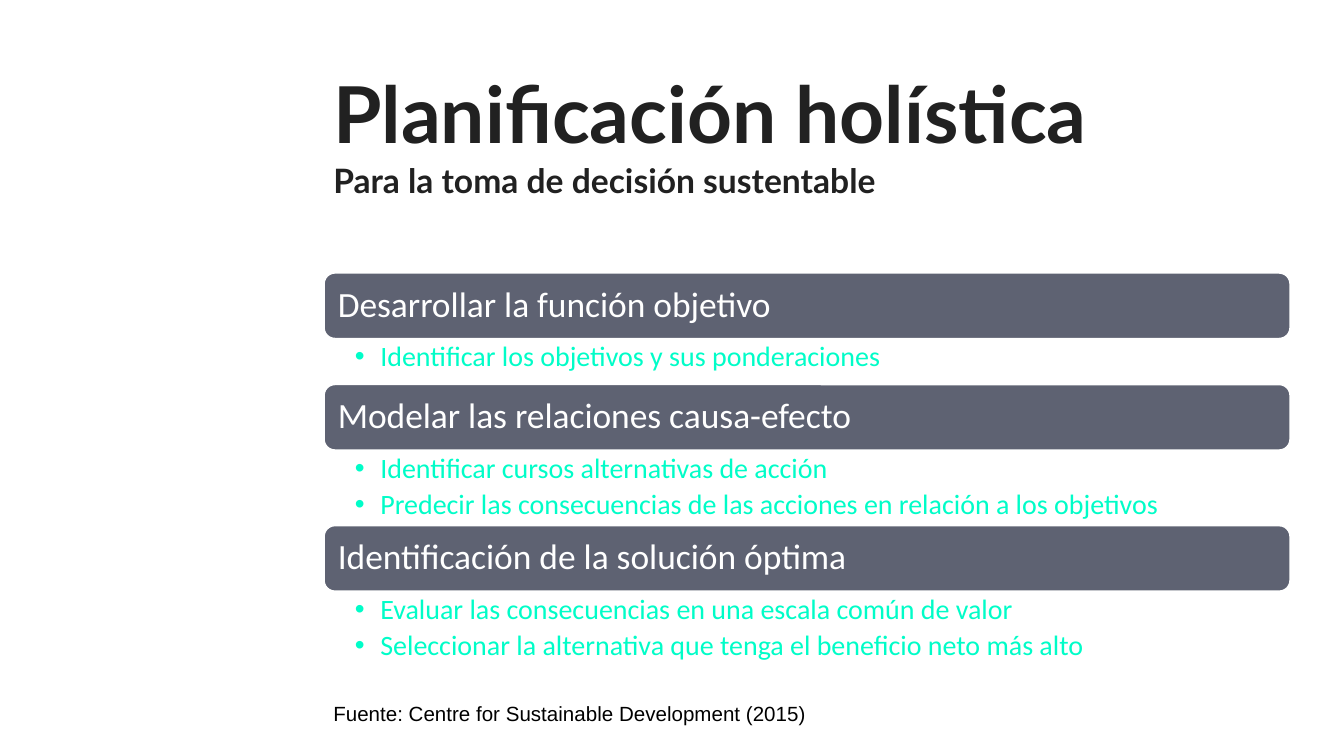
from dataclasses import dataclass

from lxml.etree import SubElement
from pptx import Presentation
from pptx.dml.color import RGBColor as Color
from pptx.enum.shapes import MSO_SHAPE as Shape
from pptx.enum.text import MSO_ANCHOR as Anchor, MSO_AUTO_SIZE as AutoSize, PP_ALIGN as Align
from pptx.oxml.ns import qn
from pptx.util import Inches, Pt


@dataclass(frozen=True)
class Theme:
    ink: str = "212121"
    bar: str = "5E6272"
    light: str = "FFFFFF"
    accent: str = "00FDC8"
    source: str = "000000"
    title_size: int = 42
    subtitle_size: int = 18
    heading_size: int = 19
    list_size: int = 15
    source_size: int = 11
    title_font: str = "Lato"
    body_font: str = "Calibri"
    source_font: str = "Arial"


# Grid of square cells, 0.1 inch each
CELL = Inches(0.1)
COLUMNS, ROWS = 100, 56.25
LEFT, WIDTH = 24.1, 71.9
BAR_ROWS = 4.9
LIST_PADDING, ITEM_ROWS = 1.2, 2.2

TITLE = "Planificación holística"
SUBTITLE = "Para la toma de decisión sustentable"
SOURCE = "Fuente: Centre for Sustainable Development (2015)"
STEPS = {
    "Desarrollar la función objetivo": [
        "Identificar los objetivos y sus ponderaciones",
    ],
    "Modelar las relaciones causa-efecto": [
        "Identificar cursos alternativas de acción",
        "Predecir las consecuencias de las acciones en relación a los objetivos",
    ],
    "Identificación de la solución óptima": [
        "Evaluar las consecuencias en una escala común de valor",
        "Seleccionar la alternativa que tenga el beneficio neto más alto",
    ],
}


def apply(target, values):
    for name, value in values.items():
        setattr(target, name, value)


class SlideBuilder:
    def __init__(self, page, theme):
        self.page, self.theme = page, theme

    def place(self, box, column, row, width, height):
        lengths = dict(left=column, top=row, width=width, height=height)
        apply(box, {name: round(cells * CELL) for name, cells in lengths.items()})

    def frame(self, box, anchor, left, top, right, bottom):
        apply(box.text_frame, dict(
            word_wrap=True, auto_size=AutoSize.NONE, vertical_anchor=anchor,
            margin_left=Inches(left), margin_top=Inches(top),
            margin_right=Inches(right), margin_bottom=Inches(bottom)))
        return box.text_frame

    def paragraph(self, para, spacing, before=0):
        apply(para, dict(alignment=Align.LEFT, line_spacing=spacing,
                         space_before=Pt(before), space_after=Pt(0)))

    def span(self, para, text, size, font, color, bold=False):
        span = para.add_run()
        span.text = text
        apply(span.font, dict(size=Pt(size), name=font, bold=bold))
        span.font.color.rgb = Color.from_string(color)

    def title(self, text, subtitle):
        theme, box = self.theme, self.page.shapes.title
        self.place(box, LEFT, 4.7, WIDTH, 12.8)
        para = self.frame(box, Anchor.TOP, 0.07, 0.04, 0.07, 0.04).paragraphs[0]
        self.paragraph(para, 0.99)
        self.span(para, text, theme.title_size, theme.title_font, theme.ink, True)
        para.add_line_break()
        self.span(para, subtitle, theme.subtitle_size, theme.title_font, theme.ink, True)

    def heading(self, text, row):
        theme = self.theme
        bar = self.page.shapes.add_shape(Shape.ROUNDED_RECTANGLE, 0, 0, 0, 0)
        self.place(bar, LEFT, row, WIDTH, BAR_ROWS)
        bar.shadow.inherit = False
        bar.fill.solid()
        bar.fill.fore_color.rgb = Color.from_string(theme.bar)
        bar.line.color.rgb = Color.from_string(theme.light)
        bar.line.width = Pt(1)
        para = self.frame(bar, Anchor.MIDDLE, 0.08, 0.08, 0.08, 0.08).paragraphs[0]
        self.paragraph(para, 0.9)
        self.span(para, text, theme.heading_size, theme.body_font, theme.light)

    def bullet(self, para):
        props = para._p.get_or_add_pPr()
        props.set("marL", str(Inches(0.19)))
        props.set("indent", str(-Inches(0.19)))
        color = SubElement(props, qn("a:buClr"))
        SubElement(color, qn("a:srgbClr"), val=self.theme.accent)
        SubElement(props, qn("a:buFont"), typeface="Arial")
        SubElement(props, qn("a:buChar"), char="•")

    def bullets(self, box, items, row, height):
        theme = self.theme
        self.place(box, LEFT, row, WIDTH, height)
        frame = self.frame(box, Anchor.TOP, 0.23, 0.03, 0.15, 0.03)
        for index, item in enumerate(items):
            para = frame.add_paragraph() if index else frame.paragraphs[0]
            para.level = 1
            self.paragraph(para, 0.9, before=3 if index else 0)
            self.bullet(para)
            self.span(para, item, theme.list_size, theme.body_font, theme.accent)

    def source(self, text):
        theme, box = self.theme, self.page.shapes.add_textbox(0, 0, 0, 0)
        self.place(box, LEFT, 51.6, 46.5, 3)
        para = self.frame(box, Anchor.MIDDLE, 0.07, 0.04, 0.07, 0.04).paragraphs[0]
        self.paragraph(para, 1.0)
        self.span(para, text, theme.source_size, theme.source_font, theme.source)


def main():
    deck = Presentation()
    deck.slide_width, deck.slide_height = COLUMNS * CELL, round(ROWS * CELL)
    # The comparison layout offers a title and four body placeholders
    page = deck.slides.add_slide(deck.slide_layouts[4])
    builder = SlideBuilder(page, Theme())
    builder.title(TITLE, SUBTITLE)

    # Steps: a heading bar followed by its list
    bodies = [box for box in page.placeholders if box != page.shapes.title]
    row = 20.3
    for body, (heading, items) in zip(bodies, STEPS.items()):
        height = LIST_PADDING + ITEM_ROWS * len(items)
        builder.heading(heading, row)
        builder.bullets(body, items, row + BAR_ROWS, height)
        row += BAR_ROWS + height

    # Unused placeholders
    for body in bodies[len(STEPS):]:
        body.element.getparent().remove(body.element)

    builder.source(SOURCE)
    deck.save("out.pptx")


if __name__ == "__main__":
    main()
